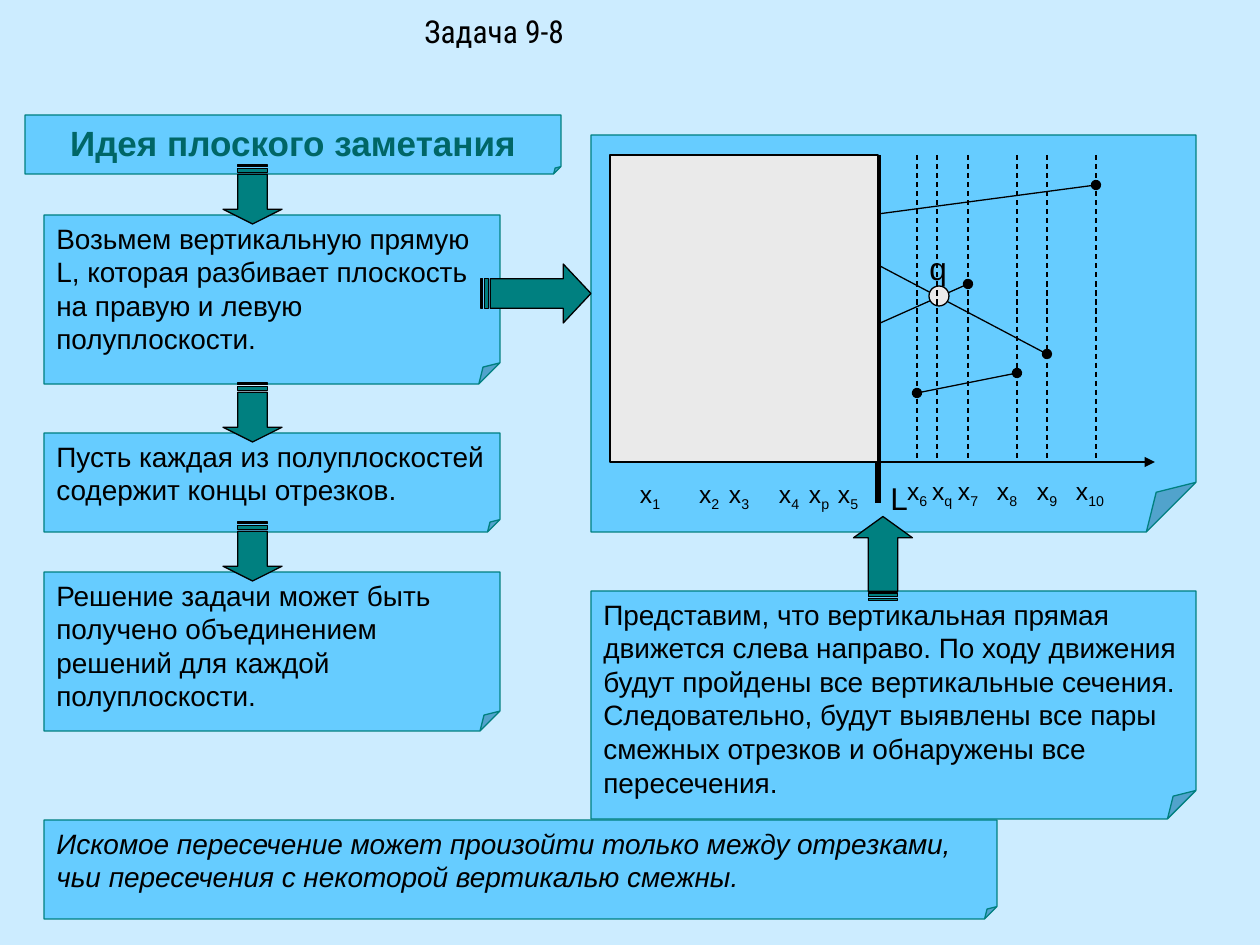
import pptx
import pptx.util
import pptx.dml.color
import pptx.enum.dml
import pptx.enum.shapes
import pptx.enum.text
import pptx.oxml.ns
import lxml.etree

PX = 914400 // 126
SHAPE = pptx.enum.shapes.MSO_SHAPE
ALIGN = pptx.enum.text.PP_ALIGN
FIT = pptx.enum.text.MSO_AUTO_SIZE

THEME = {
    "back": "CCECFF", "note": "66CCFF", "edge": "008080", "head": "006666",
    "ink": "000000", "mask": "EAEAEA", "thin": 0.75, "thick": 3,
    "title": {"name": "Roboto Condensed", "size": pptx.util.Pt(18)},
    "topic": {"name": "Arial", "size": pptx.util.Pt(20), "bold": True},
    "body": {"name": "Arial", "size": pptx.util.Pt(16)},
    "claim": {"name": "Arial", "size": pptx.util.Pt(16), "italic": True},
    "mark": {"name": "Arial", "size": pptx.util.Pt(18)},
    "tick": {"name": "Arial", "size": pptx.util.Pt(14)},
}


def tint(name):
    return pptx.dml.color.RGBColor.from_string(THEME[name])


def emu(*nums):
    return [pptx.util.Emu(num * PX) for num in nums]


def apply(item, vals):
    for key, val in vals.items():
        setattr(item, key, val)


def write(para, text, style, color="ink"):
    run = para.add_run()
    run.text = text
    apply(run.font, THEME[style])
    run.font.color.rgb = tint(color)
    return run


def form(slide, kind, box, fill, edge="ink"):
    shape = slide.shapes.add_shape(kind, *emu(*box))
    shape.shadow.inherit = False
    shape.fill.solid()
    shape.fill.fore_color.rgb = tint(fill)
    shape.line.color.rgb = tint(edge)
    shape.line.width = pptx.util.Pt(THEME["thin"])
    return shape


def fold(shape):
    qn = pptx.oxml.ns.qn
    guides = next(shape._element.iter(qn("a:avLst")))
    guide = lxml.etree.SubElement(guides, qn("a:gd"))
    guide.set("name", "adj")
    guide.set("fmla", "val 12500")


def note(slide, box, text="", style="body", color="ink", align=ALIGN.LEFT, after=6):
    shape = form(slide, SHAPE.FOLDED_CORNER, box, "note", "edge")
    fold(shape)
    if text:
        frame = shape.text_frame
        apply(frame, {"word_wrap": True, "vertical_anchor": pptx.enum.text.MSO_ANCHOR.TOP})
        para = frame.paragraphs[0]
        apply(para, {"alignment": align, "space_after": pptx.util.Pt(after)})
        write(para, text, style, color)


def arrow(slide, box, head, turn=0):
    shape = form(slide, SHAPE.STRIPED_RIGHT_ARROW, box, "edge")
    shape.adjustments[1] = head
    shape.rotation = turn


def line(slide, ends, width="thin", dash=False, **tips):
    link = slide.shapes.add_connector(pptx.enum.shapes.MSO_CONNECTOR.STRAIGHT, *emu(*ends))
    link.line.color.rgb = tint("ink")
    link.line.width = pptx.util.Pt(THEME[width])
    if dash:
        link.line.dash_style = pptx.enum.dml.MSO_LINE.DASH
    qn = pptx.oxml.ns.qn
    stroke = link.line._get_or_add_ln()
    for tip, kind in tips.items():
        lxml.etree.SubElement(stroke, qn("a:" + tip)).set("type", kind)
    lxml.etree.SubElement(link._element.spPr, qn("a:effectLst"))


def label(slide, box, text, style, sub="", before=0.0, inset=None):
    frame = slide.shapes.add_textbox(*emu(*box)).text_frame
    apply(frame, {"word_wrap": True, "auto_size": FIT.SHAPE_TO_FIT_TEXT})
    if inset is not None:
        apply(frame, {"margin_left": inset, "margin_right": inset})
    para = frame.paragraphs[0]
    para.space_before = pptx.util.Pt(before)
    write(para, text, style)
    if sub:
        write(para, sub, style)._r.get_or_add_rPr().set("baseline", "-25000")


def title(slide, box):
    frame = slide.shapes.add_textbox(*emu(*box)).text_frame
    apply(frame, {"word_wrap": False, "auto_size": FIT.NONE})
    write(frame.paragraphs[0], "Задача 9-8", "title")


def plot(slide, box):
    left, top, wide, high = box
    sweep, roof, base = left + 287, top + 20, top + 327
    note(slide, box)
    line(slide, (left + 59, base, left + 564, base), tailEnd="triangle")
    line(slide, (sweep, roof, sweep, top + 368), "thick")
    label(slide, (sweep, top + 338, 49, 50), "L", "mark", before=11.2)

    line(slide, (left + 326, top + 258, left + 426, top + 238), headEnd="oval", tailEnd="oval")
    for start, x, y in ((79, 505, 50), (189, 377, 149), (130, 456, 219)):
        line(slide, (sweep, top + start, left + x, top + y), tailEnd="oval")

    form(slide, SHAPE.OVAL, (left + 338, top + 151, 20, 20), "mask")
    label(slide, (left + 326, top + 108, 59, 50), "q", "mark", before=11.2)
    for x in (326, 346, 377, 426, 456, 505):
        line(slide, (left + x, roof, left + x, base), dash=True)

    ticks = {
        338: {"1": 49, "2": 108, "3": 138, "4": 188, "p": 218, "5": 247},
        335: {"6": 316, "q": 341, "7": 367, "8": 406, "9": 446, "10": 485},
    }
    for y, row in ticks.items():
        for sub, x in row.items():
            label(slide, (left + x, top + y, 32, 47), "x", "tick", sub, 8.8, 0)
    form(slide, SHAPE.RECTANGLE, (left + 19, roof, 268, 307), "mask")
    for sub, x in ():
        pass


def steps(slide, box):
    left, top, wide, high = box
    note(slide, (left - 19, top, 536, 59), "Идея плоского заметания", "topic", "head", ALIGN.CENTER, 0)
    texts = (
        (100, 169, "Возьмем вертикальную прямую L, которая разбивает плоскость на правую и левую полуплоскости."),
        (318, 99, "Пусть каждая из полуплоскостей содержит концы отрезков."),
        (457, 159, "Решение задачи может быть получено объединением решений для каждой полуплоскости."),
    )
    for y, tall, text in texts:
        note(slide, (left, top + y, wide, tall), text)
    for y in (50, 268, 407):
        arrow(slide, (left + 179, top + y, 59, 59), 0.25, 90)


def proof(slide, box):
    left, top, wide, high = box
    note(slide, box, "Представим, что вертикальная прямая движется слева направо. По ходу движения "
         "будут пройдены все вертикальные сечения. Следовательно, будут выявлены все пары "
         "смежных отрезков и обнаружены все пересечения.")
    arrow(slide, (left + 250, top - 62, 84, 59), 0.36, 270)


def main():
    deck = pptx.Presentation()
    deck.slide_width, deck.slide_height = emu(1260, 945)
    slide = deck.slides.add_slide(deck.slide_layouts[6])
    slide.background.fill.solid()
    slide.background.fill.fore_color.rgb = tint("back")
    title(slide, (412, 6, 338, 105))
    plot(slide, (591, 135, 605, 397))
    steps(slide, (44, 115, 456, 616))
    arrow(slide, (481, 264, 110, 59), 0.47)
    proof(slide, (591, 591, 605, 228))
    note(slide, (44, 820, 953, 99), "Искомое пересечение может произойти только между отрезками, "
         "чьи пересечения с некоторой вертикалью смежны.", "claim")
    deck.save("out.pptx")


if __name__ == "__main__":
    main()
